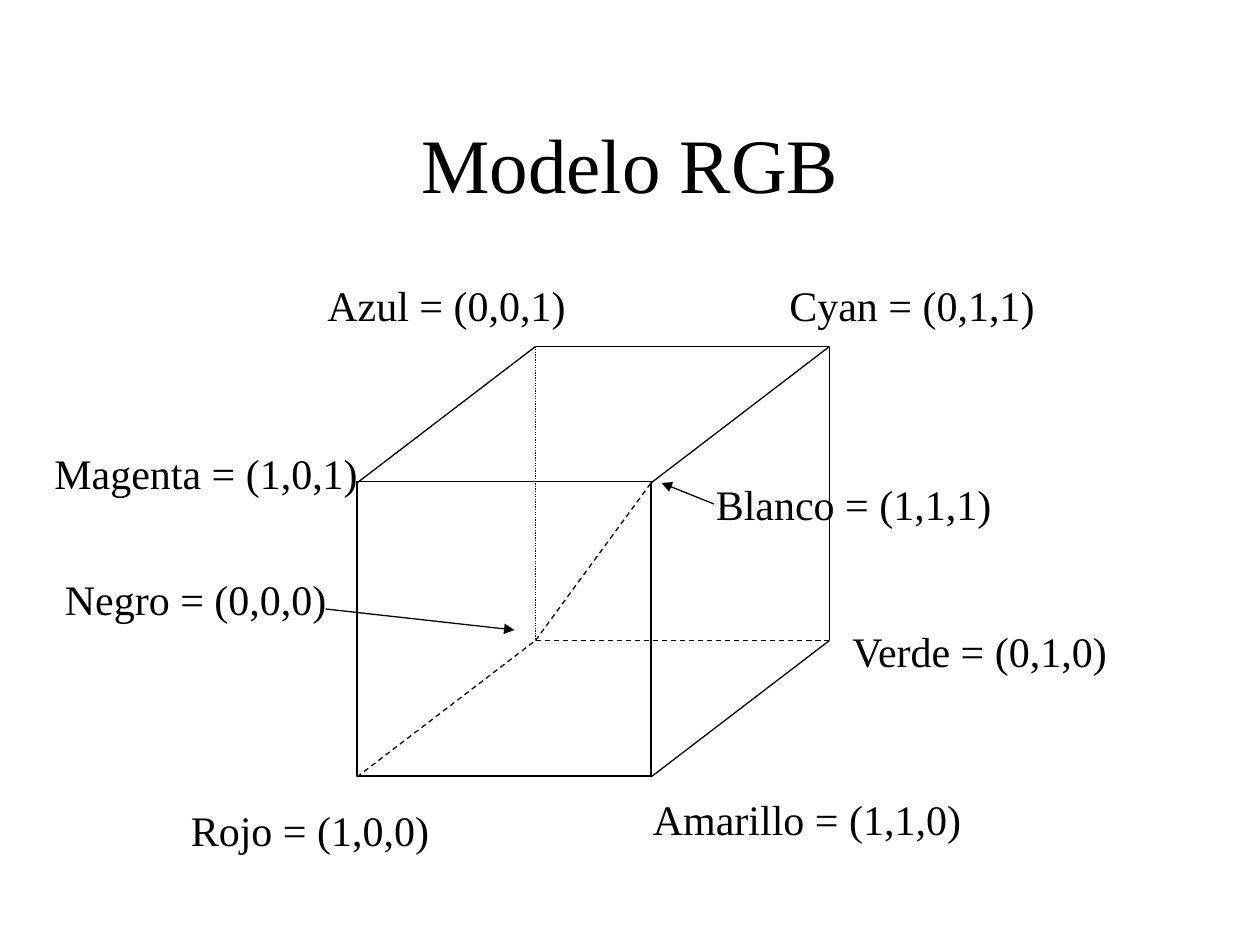
from lxml import etree
from pptx import Presentation
from pptx.dml.color import RGBColor
from pptx.enum.dml import MSO_LINE
from pptx.enum.shapes import MSO_CONNECTOR, MSO_SHAPE
from pptx.enum.text import MSO_ANCHOR, MSO_AUTO_SIZE, PP_ALIGN
from pptx.oxml.ns import qn
from pptx.util import Pt

STRAIGHT = MSO_CONNECTOR.STRAIGHT
DASH, DOT = MSO_LINE.DASH, MSO_LINE.ROUND_DOT
FONT, BLACK = "Times New Roman", "000000"

TITLE = "Modelo RGB"
# text, left, top, width
LABELS = [
    ("Negro = (0,0,0)", 30, 324, 186),
    ("Magenta = (1,0,1)", 24, 252, 210),
    ("Azul = (0,0,1)", 180, 156, 210),
    ("Cyan = (0,1,1)", 444, 156, 210),
    ("Verde = (0,1,0)", 480, 354, 210),
    ("Rojo = (1,0,0)", 102, 456, 210),
    ("Amarillo = (1,1,0)", 366, 450, 210),
    ("Blanco = (1,1,1)", 402, 270, 210),
]
LABEL_HEIGHT = 36

# Cube corners are (red, green, blue), seen from the black corner
ORIGIN = (306, 366)
AXES = [(-102, 78), (168, 0), (0, -168)]
SIDE = 168
EDGES = [
    ((0, 0, 1), (0, 1, 1), None),
    ((0, 0, 1), (0, 0, 0), DOT),
    ((0, 0, 0), (0, 1, 0), DASH),
    ((0, 1, 0), (0, 1, 1), None),
    ((1, 1, 0), (0, 1, 0), None),
    ((1, 1, 1), (0, 1, 1), None),
    ((1, 0, 1), (0, 0, 1), None),
    ((1, 0, 0), (0, 0, 0), DASH),
    ((0, 0, 0), (1, 1, 1), DASH),
]
POINTERS = [((408, 288), (378, 276)), ((186, 348), (294, 360))]


def rgb(value):
    return RGBColor.from_string(value)


def corner(color):
    return tuple(o + sum(c * axis[i] for c, axis in zip(color, AXES))
                 for i, o in enumerate(ORIGIN))


def write(sp, text, size, align=PP_ALIGN.LEFT, anchor=MSO_ANCHOR.TOP,
          before=0, fit=MSO_AUTO_SIZE.NONE):
    tf = sp.text_frame
    tf.word_wrap = True
    tf.auto_size = fit
    tf.vertical_anchor = anchor
    p = tf.paragraphs[0]
    p.alignment = align
    p.space_before = Pt(before)
    r = p.add_run()
    r.text = text
    r.font.name = FONT
    r.font.size = Pt(size)
    r.font.color.rgb = rgb(BLACK)


def outline(sp, dash=None):
    sp.line.color.rgb = rgb(BLACK)
    sp.line.width = Pt(0.75)
    if dash:
        sp.line.dash_style = dash


def connect(shapes, start, end, dash=None, arrow=False):
    sp = shapes.add_connector(STRAIGHT, *(Pt(v) for v in start + end))
    outline(sp, dash)
    if arrow:
        etree.SubElement(sp.line._get_or_add_ln(), qn("a:tailEnd"), type="triangle")
    etree.SubElement(sp._element.spPr, qn("a:effectLst"))


prs = Presentation()
prs.slide_width, prs.slide_height = Pt(720), Pt(540)
slide = prs.slides.add_slide(prs.slide_layouts[5])

title = slide.shapes.title
title.left, title.top, title.width, title.height = Pt(54), Pt(48), Pt(612), Pt(90)
write(title, TITLE, 44, align=PP_ALIGN.CENTER, anchor=MSO_ANCHOR.MIDDLE)

shapes = slide.shapes.add_group_shape().shapes
left, top = corner((1, 0, 1))
front = shapes.add_shape(MSO_SHAPE.RECTANGLE, Pt(left), Pt(top - 1), Pt(SIDE), Pt(SIDE + 0.5))
front.shadow.inherit = False
front.fill.background()
outline(front)

for start, end, dash in EDGES:
    connect(shapes, corner(start), corner(end), dash)
for text, left, top, width in LABELS:
    box = shapes.add_textbox(Pt(left), Pt(top), Pt(width), Pt(LABEL_HEIGHT))
    write(box, text, 24, before=15, fit=MSO_AUTO_SIZE.SHAPE_TO_FIT_TEXT)
for start, end in POINTERS:
    connect(shapes, start, end, arrow=True)

prs.save("out.pptx")
